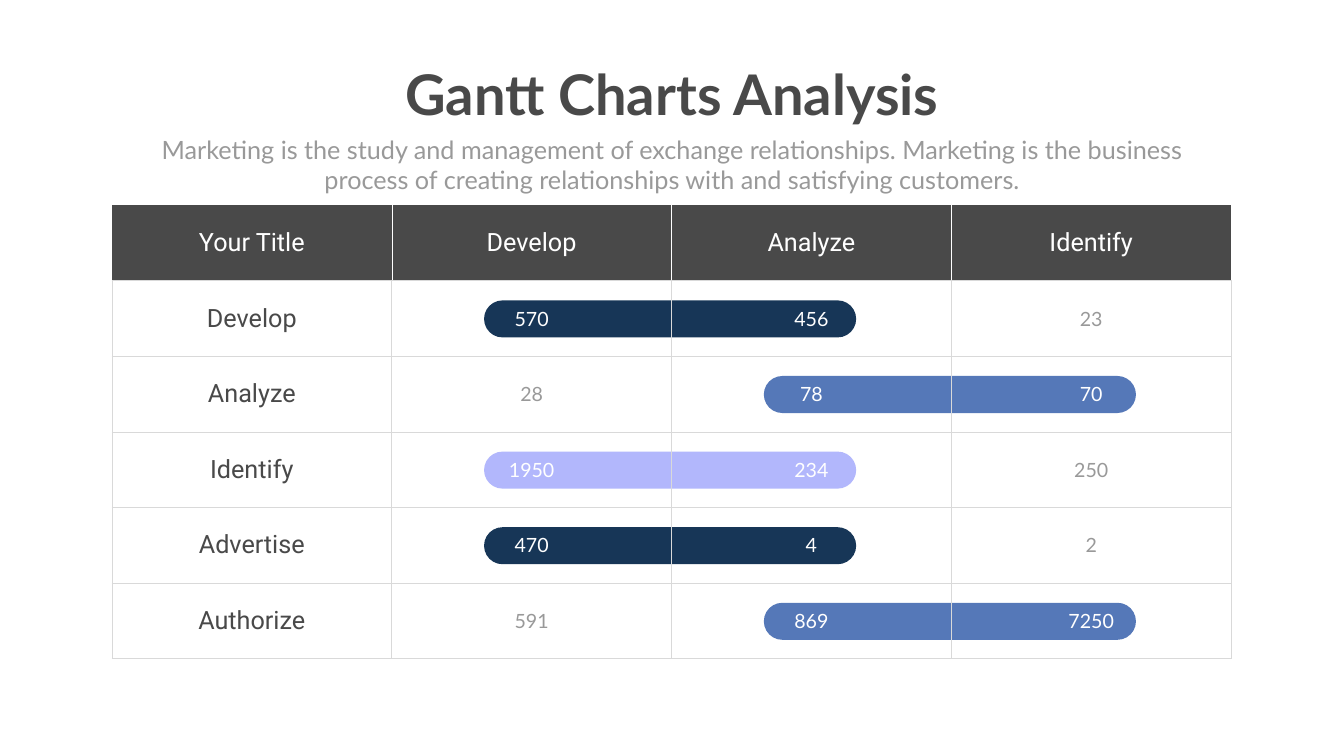
from lxml import etree
from pptx import Presentation
from pptx import util as u
from pptx.dml.color import RGBColor
from pptx.enum import shapes, text
from pptx.oxml import ns

DARK, GREY, RULE, WHITE = "494949", "999999", "D9D9D9", "FFFFFF"
NAVY, BLUE, LILAC = "173657", "5578B8", "B2B7FC"

HEADINGS = ["Your Title", "Develop", "Analyze", "Identify"]
TASKS = [
    ("Develop", ["570", "456", "23"], 1, NAVY),
    ("Analyze", ["28", "78", "70"], 2, BLUE),
    ("Identify", ["1950", "234", "250"], 1, LILAC),
    ("Advertise", ["470", "4", "2"], 1, NAVY),
    ("Authorize", ["591", "869", "7250"], 2, BLUE),
]


def color(value):
    return RGBColor.from_string(value)


class GanttSlide:
    left, top = 2.22, 4.07
    column, row = 5.55, 1.5

    def __init__(self, presentation):
        self.width = presentation.slide_width
        self.height = presentation.slide_height
        self.slide = presentation.slides.add_slide(presentation.slide_layouts[6])

    def add_words(self, frame, words, size, font, fill, bold=False):
        paragraph = frame.paragraphs[0]
        paragraph.alignment = text.PP_ALIGN.CENTER
        run = paragraph.add_run()
        run.text = words
        run.font.size = u.Pt(size)
        run.font.name = font
        run.font.bold = bold
        run.font.color.rgb = color(fill)

    def text_box(self, x, y, width, height, words, size, fill, bold=False, wrap=True):
        shape = self.slide.shapes.add_textbox(
            int(x * self.width), int(y * self.height),
            int(width * self.width), int(height * self.height))
        shape.text_frame.word_wrap = wrap
        shape.text_frame.auto_size = text.MSO_AUTO_SIZE.SHAPE_TO_FIT_TEXT
        self.add_words(shape.text_frame, words, size, "Lato", fill, bold)

    def bar(self, column, row, fill):
        shape = self.slide.shapes.add_shape(
            shapes.MSO_SHAPE.ROUNDED_RECTANGLE,
            u.Inches(self.left + (column + 0.33) * self.column),
            u.Inches(self.top + (row + 0.26) * self.row),
            u.Inches(1.33 * self.column), u.Inches(0.49 * self.row))
        shape.adjustments[0] = 0.5
        shape.shadow.inherit = False
        shape.fill.solid()
        shape.fill.fore_color.rgb = color(fill)
        shape.line.fill.background()

    def border(self, cell, side, fill, points):
        properties = cell._tc.get_or_add_tcPr()
        line = etree.SubElement(properties, ns.qn(f"a:ln{side}"), w=str(u.Pt(points)))
        if fill is None:
            etree.SubElement(line, ns.qn("a:noFill"))
        else:
            solid = etree.SubElement(line, ns.qn("a:solidFill"))
            etree.SubElement(solid, ns.qn("a:srgbClr"), val=fill)

    def cell(self, cell, words, size, font, fill, borders, background=None):
        cell.vertical_anchor = text.MSO_ANCHOR.MIDDLE
        for side, (line, points) in zip("LRTB", borders):
            self.border(cell, side, line, points)
        if background:
            cell.fill.solid()
            cell.fill.fore_color.rgb = color(background)
        else:
            cell.fill.background()
        self.add_words(cell.text_frame, words, size, font, fill)

    def table(self, headings, tasks):
        columns, rows = len(headings), len(tasks) + 1
        table = self.slide.shapes.add_table(
            rows, columns, u.Inches(self.left), u.Inches(self.top),
            u.Inches(columns * self.column), u.Inches(rows * self.row)).table
        table.first_row = table.horz_banding = False
        for column in table.columns:
            column.width = u.Inches(self.column)
        for row in table.rows:
            row.height = u.Inches(self.row)

        grid, divider, nothing = (RULE, 1), (WHITE, 0.5), (None, 0)
        for index, heading in enumerate(headings):
            borders = [divider if index else nothing,
                       divider if index < columns - 1 else nothing, nothing, grid]
            self.cell(table.cell(0, index), heading, 36, "Roboto", WHITE, borders, DARK)
        for row, (name, values, start, _) in enumerate(tasks, 1):
            self.cell(table.cell(row, 0), name, 36, "Roboto", DARK, [grid] * 4)
            for column, value in enumerate(values, 1):
                fill = WHITE if column in (start, start + 1) else GREY
                self.cell(table.cell(row, column), value, 28, "Lato", fill, [grid] * 4)


def main():
    presentation = Presentation()
    presentation.slide_width = u.Inches(26.66)
    presentation.slide_height = u.Inches(15)
    gantt = GanttSlide(presentation)
    for row, (_, _, start, fill) in enumerate(TASKS, 1):
        gantt.bar(start, row, fill)
    gantt.table(HEADINGS, TASKS)
    gantt.text_box(0.29, 0.075, 0.42, 0.1, "Gantt Charts Analysis",
                   80, DARK, bold=True, wrap=False)
    gantt.text_box(0.11, 0.174, 0.78, 0.09,
                   "Marketing is the study and management of exchange relationships. "
                   "Marketing is the business process of creating relationships with "
                   "and satisfying customers.", 36, GREY)
    presentation.save("out.pptx")


if __name__ == "__main__":
    main()
